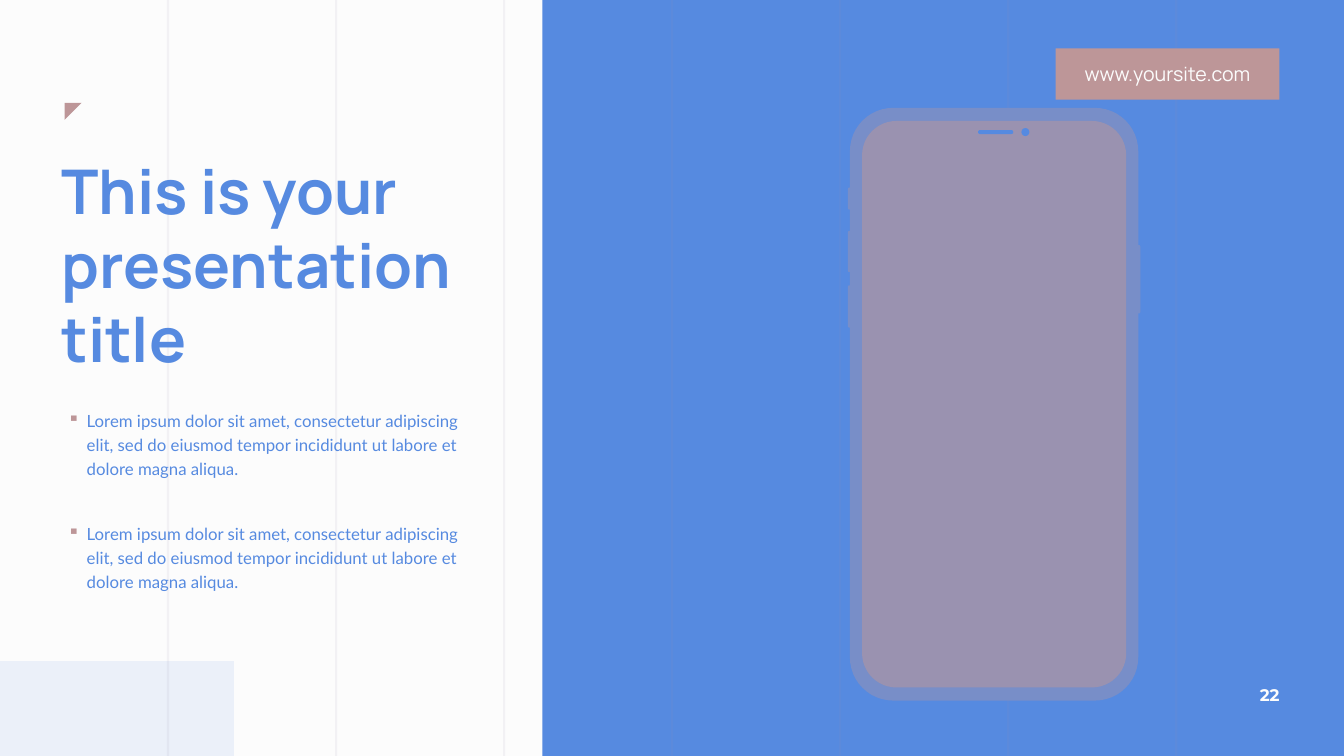
from lxml import etree
from pptx import Presentation
from pptx.dml.color import RGBColor
from pptx.enum.shapes import MSO_CONNECTOR, MSO_SHAPE
from pptx.enum.text import MSO_ANCHOR, PP_ALIGN
from pptx.oxml.ns import qn
from pptx.util import Inches, Pt

BLUE, ROSE, WHITE = "568AE0", "BD9698", "FCFCFC"
FRAME, SCREEN = "788EC8", "9A92B0"
WIDTH, HEIGHT = 13.33, 7.5
LOREM = ("Lorem ipsum dolor sit amet, consectetur adipiscing elit, sed do "
         "eiusmod tempor incididunt ut labore et dolore magna aliqua.")


def paint(fill, color, alpha=None):
    fill.solid()
    fill.fore_color.rgb = RGBColor.from_string(color)
    if alpha is not None:
        for srgb in fill._xPr.iter(qn("a:srgbClr")):
            etree.SubElement(srgb, qn("a:alpha")).set("val", str(alpha * 1000))


def add_block(slide, preset, box, color, alpha=None, rounding=None):
    block = slide.shapes.add_shape(preset, *map(Inches, box))
    block.shadow.inherit = False
    block.line.fill.background()
    paint(block.fill, color, alpha)
    if rounding is not None:
        block.adjustments[0] = rounding
    return block


def set_font(paragraph, name, size, color, bold=False):
    font = paragraph.font
    font.name, font.size, font.bold = name, Pt(size), bold
    paint(font.fill, color)


def add_text(slide, box, lines, name, size, color, bold=False):
    frame = slide.shapes.add_textbox(*map(Inches, box)).text_frame
    frame.word_wrap = True
    frame.text = "\n".join(lines)
    for paragraph in frame.paragraphs:
        set_font(paragraph, name, size, color, bold)
    return frame


def add_bullet(paragraph, color):
    props = paragraph._p.get_or_add_pPr()
    props.set("marL", str(Inches(0.19)))
    props.set("indent", str(-Inches(0.19)))
    bullet_color = etree.Element(qn("a:buClr"))
    etree.SubElement(bullet_color, qn("a:srgbClr")).set("val", color)
    bullet = etree.Element(qn("a:buChar"))
    bullet.set("char", "▪")
    props.insert(0, bullet_color)
    props.insert(1, bullet)


def draw_backdrop(slide, left, top, width, height):
    paint(slide.background.fill, WHITE)
    panel_left = 5.38
    add_block(slide, MSO_SHAPE.RECTANGLE,
              (left + panel_left, top, width - panel_left, height), BLUE)
    for column in range(1, 8):
        x = Inches(left + column * 5 / 3)
        guide = slide.shapes.add_connector(
            MSO_CONNECTOR.STRAIGHT, x, Inches(top), x, Inches(top + height))
        guide.line.width = Pt(1.5)
        paint(guide.line.fill, SCREEN, 10)
        etree.SubElement(guide._element.spPr, qn("a:effectLst"))
    add_block(slide, MSO_SHAPE.RECTANGLE,
              (left, top + height - 0.94, 2.32, 0.94), BLUE, 10)


def draw_message(slide, left, top):
    corner = add_block(slide, MSO_SHAPE.RIGHT_TRIANGLE,
                       (left + 0.13, top, 0.17, 0.17), ROSE)
    corner.rotation = 90
    add_text(slide, (left, top + 0.45, 4.45, 2.32),
             ["This is your presentation", "title"], "Manrope", 44, BLUE, True)
    points = add_text(slide, (left + 0.16, top + 3.01, 4.02, 1.85), [], "Lato", 12, BLUE)
    points.margin_left = points.margin_right = 0
    points.margin_top = points.margin_bottom = 0
    points.text = "\n".join([LOREM] * 2)
    for index, paragraph in enumerate(points.paragraphs):
        paragraph.line_spacing = 1.2
        paragraph.space_before = Pt(29 * index)
        add_bullet(paragraph, ROSE)
        set_font(paragraph, "Lato", 12, BLUE)


def draw_phone(slide, left, top, width, height):
    rounded = MSO_SHAPE.ROUNDED_RECTANGLE
    buttons = [(-0.02, 0.79, 0.22), (-0.02, 1.22, 0.41),
               (-0.02, 1.76, 0.42), (width - 0.01, 1.36, 0.68)]
    for dx, dy, length in buttons:
        add_block(slide, rounded, (left + dx, top + dy, 0.03, length),
                  FRAME, rounding=0.5)
    add_block(slide, rounded, (left, top, width, height), FRAME, rounding=0.15)
    add_block(slide, rounded, (left + 0.12, top + 0.13, width - 0.24, height - 0.26),
              SCREEN, rounding=0.13)
    add_block(slide, rounded, (left + 1.27, top + 0.22, 0.35, 0.04), BLUE, rounding=0.5)
    add_block(slide, MSO_SHAPE.OVAL, (left + 1.7, top + 0.2, 0.08, 0.08), BLUE)


def draw_site_label(slide, *box):
    frame = add_block(slide, MSO_SHAPE.RECTANGLE, box, ROSE).text_frame
    frame.vertical_anchor = MSO_ANCHOR.MIDDLE
    frame.text = "www.yoursite.com"
    address = frame.paragraphs[0]
    address.alignment = PP_ALIGN.CENTER
    set_font(address, "Manrope", 14, WHITE)


def draw_page_number(slide, *box):
    frame = add_text(slide, box, ["22"], "Montserrat", 12, WHITE, True)
    frame.vertical_anchor = MSO_ANCHOR.MIDDLE
    frame.paragraphs[0].alignment = PP_ALIGN.RIGHT


def main():
    deck = Presentation()
    deck.slide_width, deck.slide_height = Inches(WIDTH), Inches(HEIGHT)
    slide = deck.slides.add_slide(deck.slide_layouts[6])
    draw_backdrop(slide, 0, 0, WIDTH, HEIGHT)
    draw_message(slide, 0.51, 1.02)
    draw_phone(slide, 8.43, 1.07, 2.86, 5.88)
    draw_page_number(slide, 12.34, 6.69, 0.45, 0.4)
    draw_site_label(slide, 10.47, 0.48, 2.22, 0.51)
    deck.save("out.pptx")


if __name__ == "__main__":
    main()
